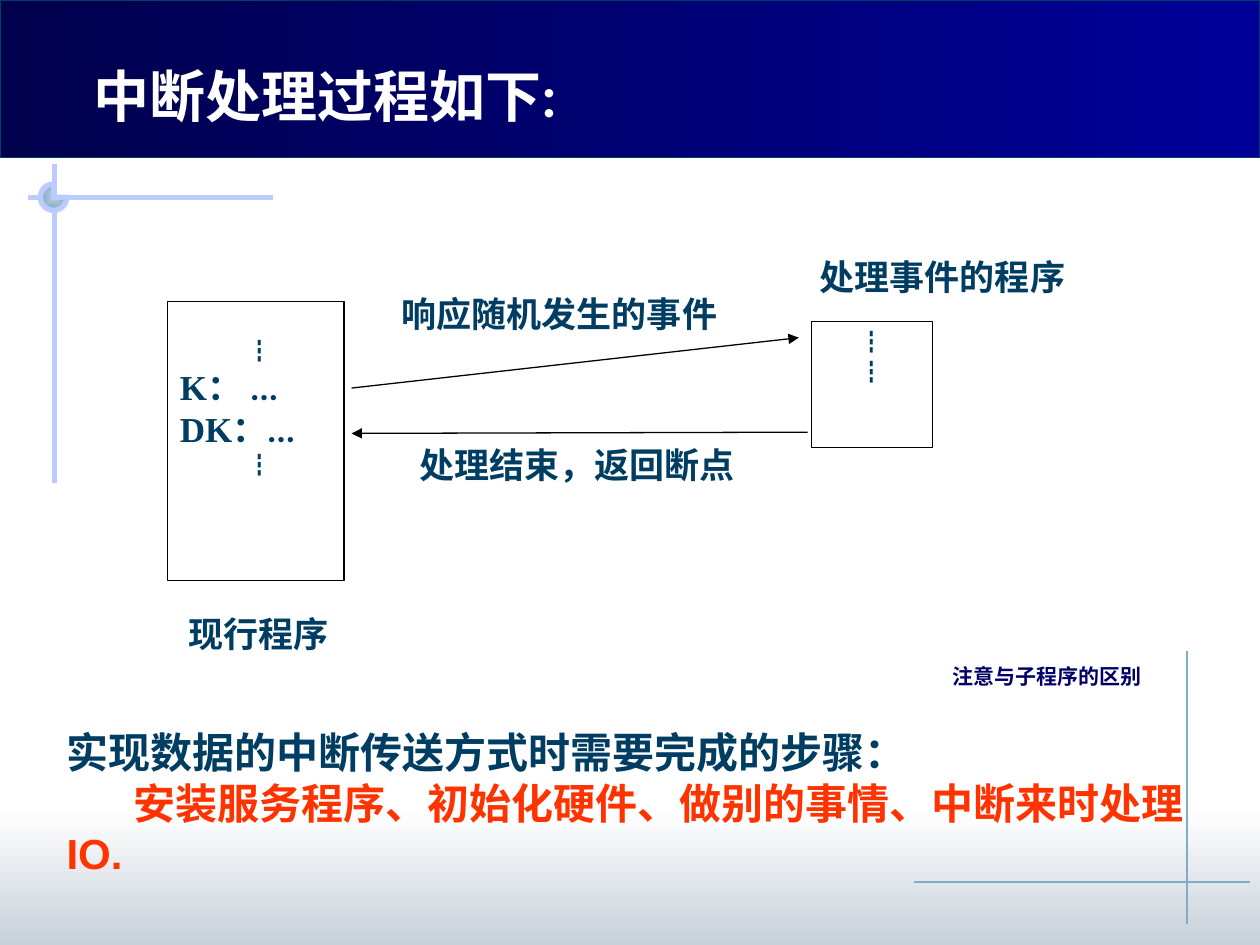
"""Build a slide on how a program is interrupted and resumed."""
from lxml.etree import SubElement
from pptx import Presentation
from pptx.dml.color import RGBColor
from pptx.enum.shapes import MSO_CONNECTOR, MSO_SHAPE
from pptx.enum.text import MSO_ANCHOR, MSO_AUTO_SIZE, PP_ALIGN
from pptx.oxml.ns import qn
from pptx.util import Inches, Pt

WHITE = RGBColor(0xFF, 0xFF, 0xFF)
BLACK = RGBColor(0, 0, 0)
TEAL = RGBColor(0x00, 0x3D, 0x62)
NAVY = RGBColor(0x00, 0x00, 0x66)
BAND_DARK = RGBColor(0x00, 0x00, 0x4C)
BAND_LIGHT = RGBColor(0x00, 0x00, 0x99)
RED = RGBColor(0xFF, 0x33, 0x00)
MIST = RGBColor(0xC8, 0xD1, 0xDA)
PALE = RGBColor(0xB6, 0xCB, 0xD6)
STEEL = RGBColor(0x81, 0xAB, 0xCB)
LILAC = RGBColor(0xBB, 0xCB, 0xFD)
EAST_ASIAN_FONT = "Lato"
WIDE_INSETS = (0.1, 0.05, 0.1, 0.05)
TIGHT_INSETS = (0.02, 0.01, 0.02, 0.01)

LABEL = {"size": Pt(20), "name": "Times New Roman", "bold": True, "color": TEAL}
DOTS = {"size": Pt(14), "name": "Noto Sans CJK SC", "bold": True, "color": TEAL}
STEPS = {"size": Pt(24), "name": "Arial", "bold": True, "color": TEAL}
NOTE = {"size": Pt(12), "name": "Lato", "bold": True, "color": NAVY}
HEADING = {"size": Pt(32), "name": "Lato", "bold": True, "color": WHITE}

TITLE = "中断处理过程如下:"
RULES = [
    ((9.42, 5.17), (9.42, 7.33), STEEL, 0.75),
    ((2.17, 1.57), (0.22, 1.57), LILAC, 3),
    ((0.43, 1.3), (0.43, 3.83), LILAC, 3),
    ((7.25, 7), (9.92, 7), STEEL, 0.75),
]
ARROWS = [((2.79, 3.08), (6.34, 2.68)), ((6.41, 3.43), (2.79, 3.44))]
PROGRAMS = [
    ((1.33, 2.39, 1.4, 2.22), (0.1, 0.28, 0.1, 0.05), [
        ("┇", DOTS, PP_ALIGN.CENTER, 0.07),
        ("K： …", LABEL, PP_ALIGN.JUSTIFY, 0),
        ("DK：…", LABEL, PP_ALIGN.JUSTIFY, 0),
        ("┇", DOTS, PP_ALIGN.CENTER, 0.07),
    ]),
    ((6.44, 2.55, 0.96, 1), WIDE_INSETS, [
        ("┇", DOTS, PP_ALIGN.CENTER, 0),
        ("┇", DOTS, PP_ALIGN.CENTER, 0),
    ]),
]
LABELS = [
    ("响应随机发生的事件", (2.83, 2.31, 3.22, 0.5)),
    ("处理结束，返回断点", (3.03, 3.51, 3.1, 0.53)),
    ("处理事件的程序", (6.34, 2.02, 2.28, 0.5)),
    ("现行程序", (1.3, 4.85, 1.5, 0.55)),
]
STEP_LINES = [
    ("实现数据的中断传送方式时需要完成的步骤：", STEPS, PP_ALIGN.LEFT, 0),
    ("安装服务程序、初始化硬件、做别的事情、中断来时处理IO.",
     {**STEPS, "color": RED}, PP_ALIGN.LEFT, 0.53),
]
CAUTION = [("注意与子程序的区别", NOTE, PP_ALIGN.LEFT, 0)]


def inches(values):
    return [Inches(value) for value in values]


def write(frame, lines, insets, wrap=True, anchor=MSO_ANCHOR.TOP):
    settings = {"word_wrap": wrap, "auto_size": MSO_AUTO_SIZE.NONE,
                "vertical_anchor": anchor}
    sides = ("margin_left", "margin_top", "margin_right", "margin_bottom")
    settings.update(zip(sides, inches(insets)))
    for key, value in settings.items():
        setattr(frame, key, value)
    for index, (text, style, align, indent) in enumerate(lines):
        paragraph = frame.paragraphs[0] if index == 0 else frame.add_paragraph()
        paragraph.alignment = align
        paragraph.space_before = Pt(0)
        properties = paragraph._p.get_or_add_pPr()
        properties.set("marL", "0")
        properties.set("indent", str(Inches(indent)))
        run = paragraph.add_run()
        run.text = text
        for key, value in style.items():
            if key == "color":
                run.font.color.rgb = value
            else:
                setattr(run.font, key, value)
        SubElement(run._r.get_or_add_rPr(), qn("a:ea"), typeface=EAST_ASIAN_FONT)


def add_text(slide, box, lines, insets, **layout):
    write(slide.shapes.add_textbox(*inches(box)).text_frame, lines, insets, **layout)


def add_block(slide, kind, box, colors, outline=None, weight=0.75, angle=0):
    block = slide.shapes.add_shape(kind, *inches(box))
    block.shadow.inherit = False
    if len(colors) == 1:
        block.fill.solid()
        block.fill.fore_color.rgb = colors[0]
    else:
        block.fill.gradient()
        block.fill.gradient_angle = angle
        for stop, color in zip(block.fill.gradient_stops, colors):
            stop.color.rgb = color
    if outline is None:
        block.line.fill.background()
    else:
        block.line.color.rgb = outline
        block.line.width = Pt(weight)
    return block


def add_line(slide, start, end, color, weight, arrow=False):
    line = slide.shapes.add_connector(MSO_CONNECTOR.STRAIGHT, *inches(start + end))
    line.line.color.rgb = color
    line.line.width = Pt(weight)
    if arrow:
        SubElement(line.line._get_or_add_ln(), qn("a:tailEnd"), type="triangle")
    SubElement(line._element.spPr, qn("a:effectLst"))


def add_knob(slide):
    knob = add_block(slide, MSO_SHAPE.PIE, (0.32, 1.46, 0.21, 0.21),
                     (PALE, STEEL), LILAC, 3)
    gradient = knob._element.spPr.find(qn("a:gradFill"))
    gradient.remove(gradient.find(qn("a:lin")))
    center = SubElement(gradient, qn("a:path"), path="rect")
    SubElement(center, qn("a:fillToRect"), l="50000", t="50000", r="50000", b="50000")


def main():
    deck = Presentation()
    deck.slide_width, deck.slide_height = inches((10, 7.5))
    slide = deck.slides.add_slide(deck.slide_layouts[5])

    add_block(slide, MSO_SHAPE.RECTANGLE, (0, 6.42, 10, 1.08), (WHITE, MIST), angle=270)
    for rule in RULES:
        add_line(slide, *rule)
    add_knob(slide)
    add_block(slide, MSO_SHAPE.RECTANGLE, (0, 0, 10, 1.25),
              (BAND_LIGHT, BAND_DARK), TEAL, angle=180)

    for box, insets, lines in PROGRAMS:
        program = add_block(slide, MSO_SHAPE.RECTANGLE, box, (WHITE,), BLACK)
        write(program.text_frame, lines, insets)
    for start, end in ARROWS:
        add_line(slide, start, end, BLACK, 0.75, arrow=True)
    for text, box in LABELS:
        add_text(slide, box, [(text, LABEL, PP_ALIGN.CENTER, 0)], TIGHT_INSETS)
    add_text(slide, (0.43, 5.72, 9.14, 1.3), STEP_LINES, WIDE_INSETS,
             anchor=MSO_ANCHOR.MIDDLE)
    add_text(slide, (7.46, 5.22, 2.45, 0.3), CAUTION, WIDE_INSETS, wrap=False)

    title = slide.shapes.title
    title.left, title.top, title.width, title.height = inches((0.64, 0.44, 4.76, 0.64))
    write(title.text_frame, [(TITLE, HEADING, PP_ALIGN.LEFT, 0)], WIDE_INSETS, wrap=False)
    slide.shapes._spTree.append(title._element)
    deck.save("out.pptx")


if __name__ == "__main__":
    main()
